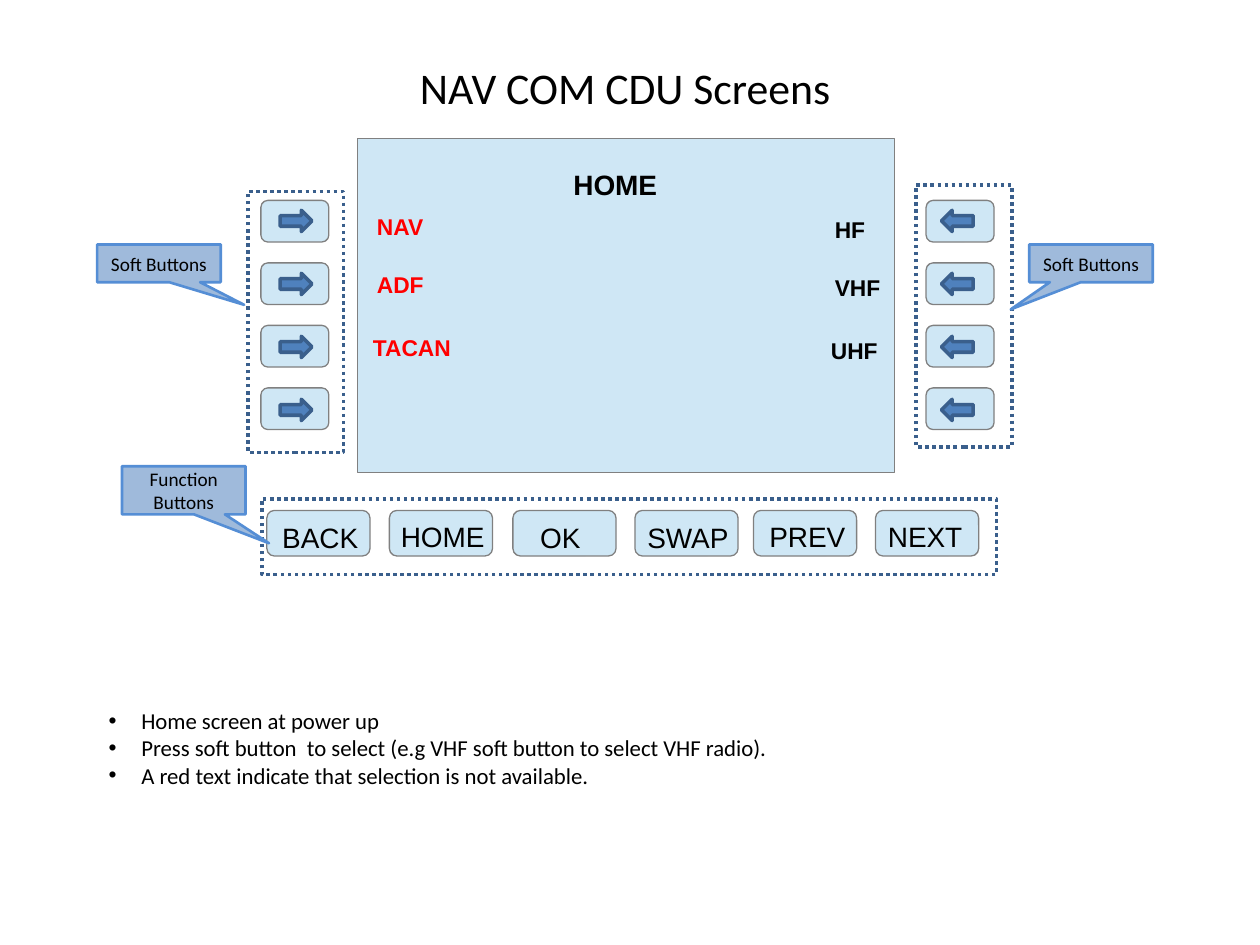
"""Build the NAV COM CDU home screen slide."""
import pptx
import pptx.dml.color
import pptx.enum.dml
import pptx.enum.shapes
import pptx.enum.text
import pptx.oxml
import pptx.oxml.ns
import pptx.util
import lxml.etree

Cm, Pt = pptx.util.Cm, pptx.util.Pt
RGB = pptx.dml.color.RGBColor.from_string
SHAPE = pptx.enum.shapes.MSO_SHAPE
ALIGN = pptx.enum.text.PP_ALIGN
ANCHOR = pptx.enum.text.MSO_ANCHOR
qn = pptx.oxml.ns.qn
COLORS = {"panel": "CFE7F5", "edge": "808080", "blue": "4F81BD", "navy": "3A5F8C",
          "callout": "558ED5", "red": "FF0000", "black": "000000"}

prs = pptx.Presentation()
prs.slide_width, prs.slide_height = Cm(25.4), Cm(19.05)
s = prs.slides.add_slide(prs.slide_layouts[6])


def add_shape(kind, x, y, w, h, fill, line, width):
    sp = s.shapes.add_shape(kind, Cm(x), Cm(y), Cm(w), Cm(h))
    sp.shadow.inherit = False
    if fill:
        sp.fill.solid()
        sp.fill.fore_color.rgb = RGB(COLORS[fill])
    else:
        sp.fill.background()
    sp.line.color.rgb = RGB(COLORS[line])
    sp.line.width = Pt(width)
    return sp


def write(sp, lines, size, font="Calibri", color="black", bold=False,
          align=ALIGN.LEFT, anchor=ANCHOR.TOP, inset=0.13):
    tf = sp.text_frame
    tf.word_wrap = True
    tf.vertical_anchor = anchor
    tf.margin_left = tf.margin_right = Cm(0.23)
    tf.margin_top = tf.margin_bottom = Cm(inset)
    for i, text in enumerate(lines):
        p = tf.add_paragraph() if i else tf.paragraphs[0]
        p.alignment = align
        r = p.add_run()
        r.text = text
        r.font.name, r.font.size, r.font.bold = font, Pt(size), bold
        r.font.color.rgb = RGB(COLORS[color])
    return tf


title = s.shapes.add_textbox(Cm(1.17), Cm(1.09), Cm(22.86), Cm(2.39))
write(title, ["NAV COM CDU Screens"], 25, align=ALIGN.CENTER)

add_shape(SHAPE.RECTANGLE, 7.21, 2.79, 10.82, 6.73, "panel", "edge", 0)

for x, arrow_x, arrow in ((5.26, 5.65, SHAPE.RIGHT_ARROW), (18.67, 18.98, SHAPE.LEFT_ARROW)):
    for i in range(4):
        add_shape(SHAPE.ROUNDED_RECTANGLE, x, 4.04 + 1.26 * i, 1.37, 0.84, "panel", "edge", 0)
        add_shape(arrow, arrow_x, 4.24 + 1.27 * i, 0.64, 0.43, "blue", "navy", 2)

for x in (5.38, 7.85, 10.34, 12.8, 15.19, 17.65):
    add_shape(SHAPE.ROUNDED_RECTANGLE, x, 10.29, 2.08, 0.92, "panel", "edge", 0)

labels = [
    ("HOME", 11.33, 3.28, 2.3, 16, "black", True),
    ("NAV", 7.37, 4.19, 1.65, 13, "red", True),
    ("ADF", 7.37, 5.36, 1.55, 13, "red", True),
    ("TACAN", 7.29, 6.63, 2.2, 13, "red", True),
    ("HF", 16.6, 4.24, 1.35, 13, "black", True),
    ("VHF", 16.6, 5.41, 1.55, 13, "black", True),
    ("UHF", 16.52, 6.68, 1.55, 13, "black", True),
    ("BACK", 5.46, 10.39, 2.15, 16, "black", False),
    ("HOME", 7.85, 10.37, 2.3, 16, "black", False),
    ("OK", 10.66, 10.39, 1.45, 16, "black", False),
    ("SWAP", 12.82, 10.39, 2.25, 16, "black", False),
    ("PREV", 15.28, 10.37, 2.15, 16, "black", False),
    ("NEXT", 17.67, 10.37, 2.15, 16, "black", False),
]
for text, x, y, w, size, color, bold in labels:
    label = s.shapes.add_textbox(Cm(x), Cm(y), Cm(w), Cm(0.89 if size == 16 else 0.76))
    write(label, [text], size, "Arial", color, bold, inset=0.1)

for box in ((5, 3.86, 1.93, 5.26), (18.47, 3.73, 1.93, 5.28), (5.28, 10.06, 14.81, 1.52)):
    frame = add_shape(SHAPE.RECTANGLE, *box, None, "navy", 2)
    frame.line.dash_style = pptx.enum.dml.MSO_LINE.ROUND_DOT

callouts = [
    ("Soft Buttons", 1.96, 4.93, 0.76, 0.69, 1.1),
    ("Function Buttons", 2.46, 9.4, 0.97, 0.69, 1.1),
    ("Soft Buttons", 20.75, 4.93, 0.76, -0.65, 1.22),
]
for text, x, y, h, tip_x, tip_y in callouts:
    sp = add_shape(SHAPE.RECTANGULAR_CALLOUT, x, y, 2.49, h, "blue", "callout", 1.5)
    sp.adjustments[0], sp.adjustments[1] = tip_x, tip_y
    fill_color = sp.fill._xPr.find(qn("a:solidFill"))[0]
    lxml.etree.SubElement(fill_color, qn("a:alpha"), val="54000")
    write(sp, [text], 11, align=ALIGN.CENTER, anchor=ANCHOR.MIDDLE)

notes = s.shapes.add_textbox(Cm(1.96), Cm(14.12), Cm(14.12), Cm(3.02))
tf = write(notes, ["Home screen at power up",
                   "Press soft button  to select (e.g VHF soft button to select VHF radio).",
                   "A red text indicate that selection is not available."], 13)
for p in tf.paragraphs:
    pPr = p._p.get_or_add_pPr()
    pPr.set("marL", str(Cm(0.66)))
    pPr.set("indent", str(-Cm(0.66)))
    lxml.etree.SubElement(pPr, qn("a:buFont"), typeface="Arial")
    lxml.etree.SubElement(pPr, qn("a:buChar"), char="•")

prs.save("out.pptx")
